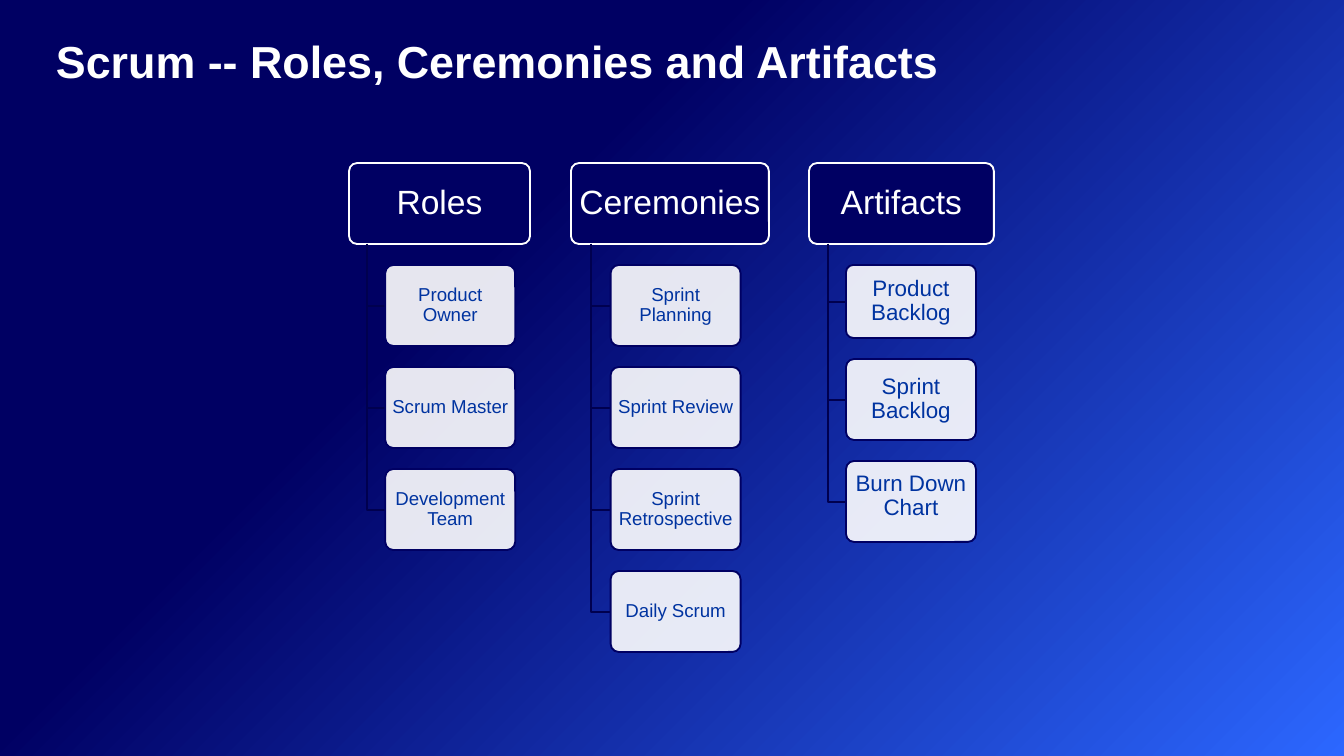
from lxml import etree
from pptx import Presentation
from pptx.dml.color import RGBColor
from pptx.enum.shapes import MSO_SHAPE
from pptx.enum.text import MSO_ANCHOR, PP_ALIGN
from pptx.oxml.ns import qn
from pptx.util import Emu, Pt

ROUNDED = MSO_SHAPE.ROUNDED_RECTANGLE
TOP, MIDDLE = MSO_ANCHOR.TOP, MSO_ANCHOR.MIDDLE
LEFT, CENTER = PP_ALIGN.LEFT, PP_ALIGN.CENTER

# Content
TITLE = "Scrum -- Roles, Ceremonies and Artifacts"
COLUMNS = [
    {"head": "Roles", "x": 349, "w": 181, "size": 10, "first_h": 81,
     "items": ["Product Owner", "Scrum Master", "Development Team"]},
    {"head": "Ceremonies", "x": 571, "w": 198, "size": 10, "first_h": 81,
     "items": ["Sprint Planning", "Sprint Review", "Sprint Retrospective",
               "Daily Scrum"]},
    {"head": "Artifacts", "x": 809, "w": 185, "size": 12, "first_h": 73,
     "items": ["Product Backlog", "Sprint Backlog", "Burn Down Chart"]},
]
RAISED = {"Burn Down Chart": 10}  # extra bottom inset

# Style and measures in px
COLORS = {"navy": "000063", "blue": "2C67FF", "white": "FFFFFF",
          "text": "0033A0", "line": "00004F"}
HEAD_Y, BOX_H, ITEM_W, GAP = 163, 81, 130, 21
SCALE = 914400 / 134.4


def px(n):
    return Emu(round(n * SCALE))


def rgb(name):
    return RGBColor.from_string(COLORS[name])


def write(sp, text, size, color, insets, anchor=MIDDLE, align=CENTER, bold=False):
    tf = sp.text_frame
    left, top, right, bottom = map(px, insets)
    frame = {"word_wrap": True, "vertical_anchor": anchor, "margin_left": left,
             "margin_top": top, "margin_right": right, "margin_bottom": bottom}
    for name, value in frame.items():
        setattr(tf, name, value)
    p = tf.paragraphs[0]
    p.alignment, p.line_spacing = align, 0.9
    r = p.add_run()
    r.text = text
    for name, value in {"name": "Arial", "size": Pt(size), "bold": bold}.items():
        setattr(r.font, name, value)
    r.font.color.rgb = rgb(color)


def add_box(s, x, y, w, h, fill, line):
    sp = s.shapes.add_shape(ROUNDED, px(x), px(y), px(w), px(h))
    sp.adjustments[0] = 0.1
    sp.shadow.inherit = False
    sp.fill.solid()
    sp.fill.fore_color.rgb = rgb(fill)
    sp.line.color.rgb = rgb(line)
    sp.line.width = Pt(1)
    return sp


def add_elbow(s, x, y, end_x, end_y):
    builder = s.shapes.build_freeform(round(x), round(y), scale=SCALE)
    builder.add_line_segments(
        [(round(x), round(end_y)), (round(end_x), round(end_y))], close=False)
    sp = builder.convert_to_shape()
    sp.shadow.inherit = False
    sp.fill.background()
    sp.line.color.rgb = rgb("line")
    sp.line.width = Pt(1)


prs = Presentation()
prs.slide_width, prs.slide_height = px(1344), px(756)
s = prs.slides.add_slide(prs.slide_layouts[5])

# Background gradient, bright at the lower right
fill = s.background.fill
fill.gradient()
fill.gradient_angle = 135
for stop, (position, color) in zip(fill.gradient_stops,
                                   [(0, "blue"), (0.65, "navy")]):
    stop.position = position
    stop.color.rgb = rgb(color)

# Title
title = s.shapes.title
title.left, title.top, title.width, title.height = map(px, (56, 40, 1231, 91))
write(title, TITLE, 24, "white", (0, 0, 0, 0), TOP, LEFT, True)

# Columns: a heading with its items hanging from a trunk
for col in COLUMNS:
    x, w = col["x"], col["w"]
    trunk_x, item_x = x + 0.1 * w, x + 0.2 * w
    head = add_box(s, x, HEAD_Y, w, BOX_H, "navy", "white")
    write(head, col["head"], 18, "white", (5, 4, 5, 4))
    y = HEAD_Y + BOX_H + GAP
    for i, item in enumerate(col["items"]):
        h = BOX_H if i else col["first_h"]
        add_elbow(s, trunk_x, HEAD_Y + BOX_H, item_x, y + h / 2)
        box = add_box(s, item_x, y, ITEM_W, h, "white", "navy")
        solid = box.fill.fore_color._xFill.find(qn("a:srgbClr"))
        etree.SubElement(solid, qn("a:alpha"), val="90000")
        write(box, item, col["size"], "text", (3, 2, 3, 2 + RAISED.get(item, 0)))
        y += h + GAP

prs.save("out.pptx")
